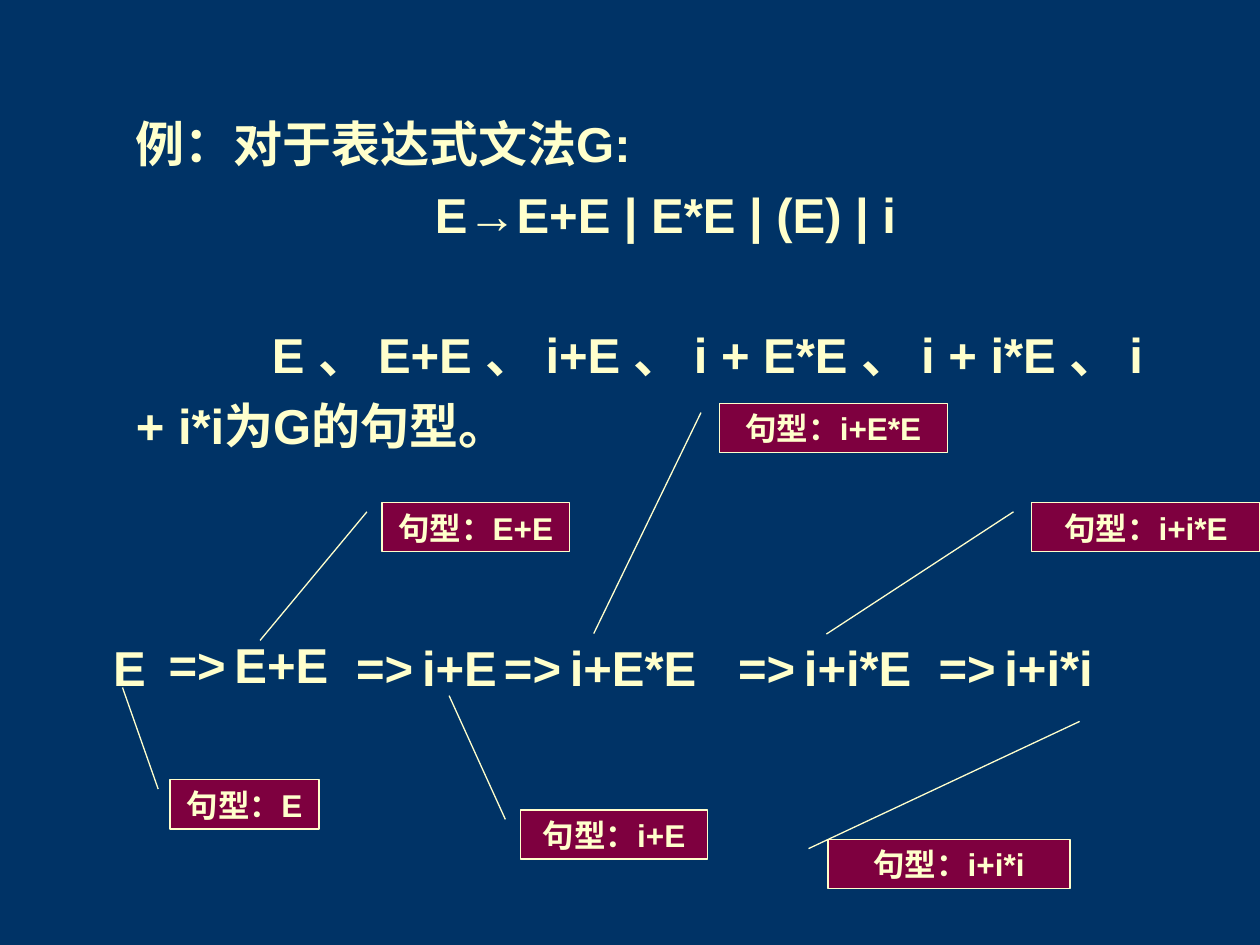
from pptx import Presentation
from pptx.dml.color import RGBColor
from pptx.enum.shapes import MSO_SHAPE
from pptx.enum.text import MSO_ANCHOR, PP_ALIGN
from pptx.util import Cm, Pt

NAVY = RGBColor(0x00, 0x33, 0x66)
CREAM = RGBColor(0xFF, 0xFF, 0xCC)
MAROON = RGBColor(0x7E, 0x00, 0x3F)

LARGE = {"name": "Arial", "size": Pt(28), "bold": True}
SMALL = {"name": "Arial", "size": Pt(18), "bold": True}
GAP = {"name": "Arial", "size": Pt(18), "bold": False}


def add_span(para, text, style):
    span = para.add_run()
    span.text = text
    for attribute, value in style.items():
        setattr(span.font, attribute, value)
    span.font.color.rgb = CREAM


def add_box(left, top, width, height):
    box = page.shapes.add_textbox(Cm(left), Cm(top), Cm(width), Cm(height))
    box.text_frame.word_wrap = True
    return box.text_frame


deck = Presentation()
deck.slide_width, deck.slide_height = Cm(25.4), Cm(19.05)
page = deck.slides.add_slide(deck.slide_layouts[6])
page.background.fill.solid()
page.background.fill.fore_color.rgb = NAVY

# Derivation chain: left, top, width, sentential form
derivation = [
    (2.03, 12.73, 1.17, "E"),
    (3.15, 12.67, 3.99, "E+E"),
    (6.93, 12.73, 3.6, "i+E"),
    (9.91, 12.73, 5.21, "i+E*E"),
    (14.63, 12.73, 5.21, "i+i*E"),
    (18.67, 12.73, 4.11, "i+i*i"),
]
for step, (left, top, width, form) in enumerate(derivation):
    para = add_box(left, top, width, 1.45).paragraphs[0]
    if step > 0:
        add_span(para, "=>", LARGE)
        add_span(para, " ", GAP)
    add_span(para, form, LARGE)

# Grammar example: text, first-line indent, space before
example = [
    ("例：对于表达式文法G:", 0, 0),
    ("E→E+E | E*E | (E) | i", 6.03, 0),
    ("E 、 E+E 、 i+E 、 i + E*E 、 i + i*E 、 i + i*i为G的句型。", 2.74, 40),
]
frame = add_box(2.49, 1.93, 21.21, 7.37)
for number, (text, indent, space) in enumerate(example):
    para = frame.add_paragraph() if number else frame.paragraphs[0]
    para.line_spacing = 1.2
    para.space_before = Pt(space)
    para._p.get_or_add_pPr().set("indent", str(Cm(indent)))
    add_span(para, text, LARGE)

# Callouts: left, top, width, form, pointer end (y and x as shares of the box)
callouts = [
    (3.43, 15.72, 3.0, "E", -1.88, -0.32),
    (7.7, 10.13, 3.78, "E+E", 2.81, -0.65),
    (10.49, 16.33, 3.78, "i+E", -2.33, -0.38),
    (14.5, 8.13, 4.6, "i+E*E", 4.69, -0.55),
    (20.8, 10.13, 4.6, "i+i*E", 2.68, -0.9),
    (16.69, 16.92, 4.88, "i+i*i", -2.4, 1.04),
]
for left, top, width, form, end_y, end_x in callouts:
    callout = page.shapes.add_shape(
        MSO_SHAPE.LINE_CALLOUT_1, Cm(left), Cm(top), Cm(width), Cm(0.99))
    for index, value in enumerate((0.19, -0.08, end_y, end_x)):
        callout.adjustments[index] = value
    callout.shadow.inherit = False
    callout.fill.solid()
    callout.fill.fore_color.rgb = MAROON
    callout.line.color.rgb = CREAM
    callout.line.width = Pt(0.75)
    callout.text_frame.word_wrap = True
    callout.text_frame.vertical_anchor = MSO_ANCHOR.TOP
    para = callout.text_frame.paragraphs[0]
    para.alignment = PP_ALIGN.CENTER
    add_span(para, "句型：" + form, SMALL)

deck.save("out.pptx")
